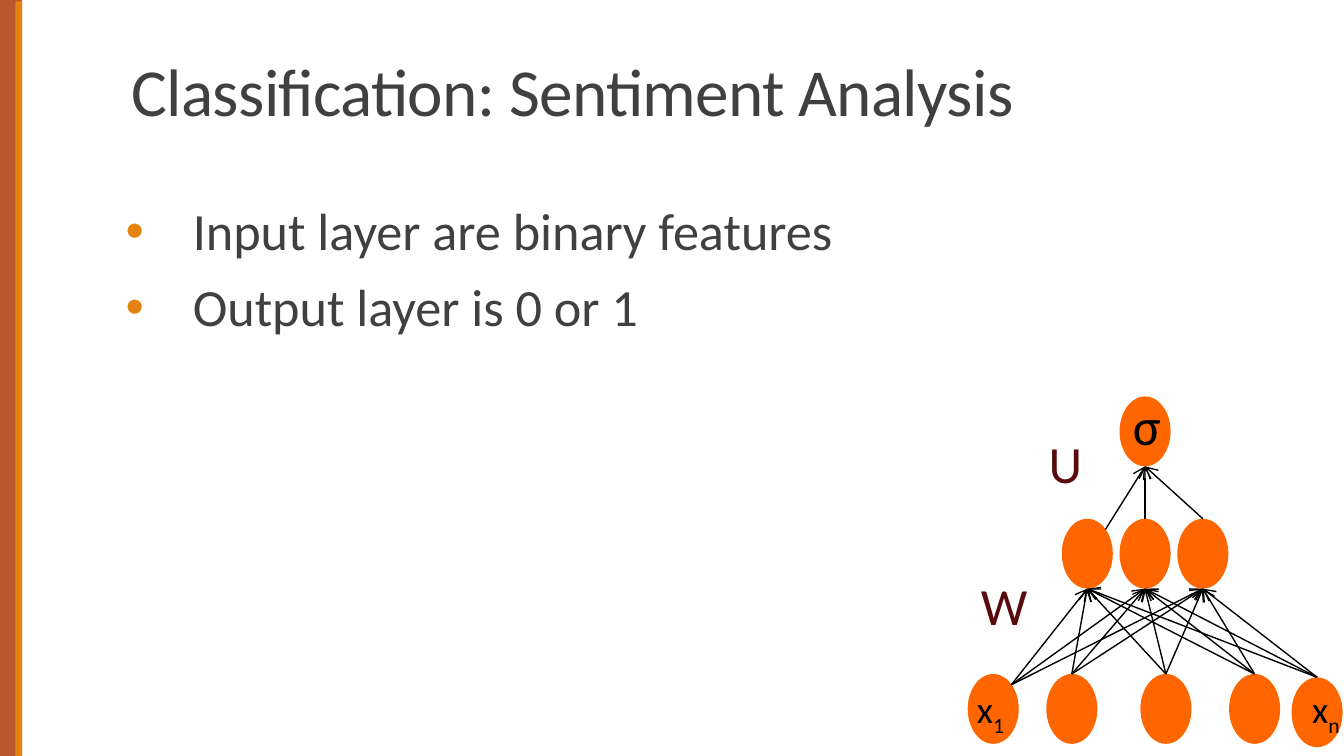
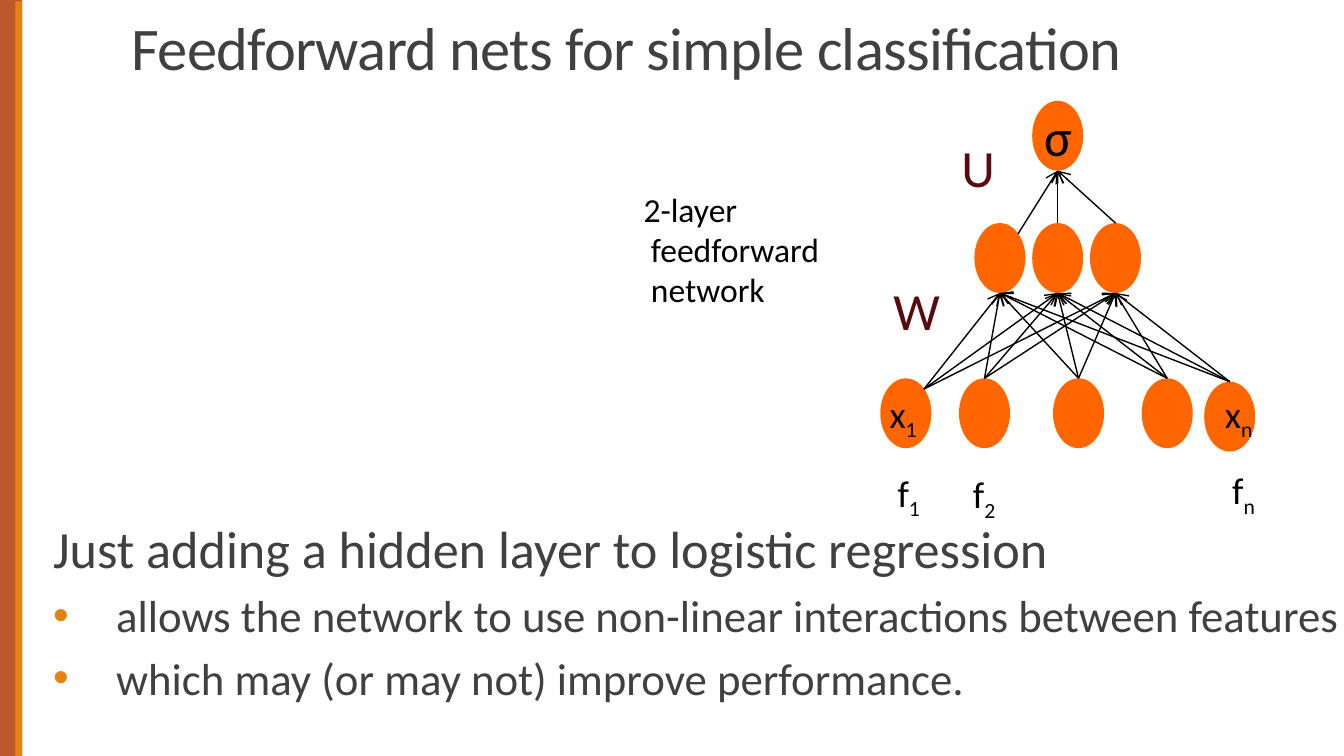
from dataclasses import dataclass

import lxml.etree
import pptx
import pptx.dml.color
import pptx.enum.shapes
import pptx.enum.text
import pptx.oxml.ns
import pptx.util
from pptx.shapes.group import GroupShape
from pptx.slide import Slide
from pptx.text.text import TextFrame

EMU_PER_PX = 4572  # 200 px to the inch
PAGE_WIDTH, PAGE_HEIGHT = 2000, 1125
FONT = "Calibri"
RUST, AMBER, ORANGE = "BD582C", "E48312", "FF6600"
GREY, MAROON, BLACK = "404040", "590A0E", "000000"

NEURON_WIDTH, NEURON_HEIGHT = 76, 104
TOP_CENTRE = (38, 0)
UPPER_RIGHT = (65, 16)


@dataclass(frozen=True)
class Box:
    left: int
    top: int
    width: int
    height: int


@dataclass(frozen=True)
class BodyLine:
    text: str
    size: int
    indent: int
    bullet: bool = True


@dataclass(frozen=True)
class Neuron:
    left: int
    top: int
    outlet: tuple[int, int] = TOP_CENTRE


@dataclass(frozen=True)
class Label:
    box: Box
    text: str
    size: int
    subscript: str = ""
    color: str = BLACK
    wrap: bool = True


# Network parts are placed relative to the network's own corner.
OUTPUT = Neuron(226, 0)
HIDDEN = [Neuron(140, 182, UPPER_RIGHT), Neuron(226, 182), Neuron(312, 182)]
INPUTS = [
    Neuron(0, 413, UPPER_RIGHT),
    Neuron(117, 413),
    Neuron(257, 413),
    Neuron(389, 413),
    Neuron(482, 418),
]
NETWORK_LABELS = [
    Label(Box(101, 42, 46, 114), "U", 28, color=MAROON),
    Label(Box(0, 254, 46, 114), "W", 28, color=MAROON),
    Label(Box(493, 422, 84, 88), "x", 20, "n"),
    Label(Box(-6, 422, 130, 88), "x", 20, "1"),
]
FEATURE_LABELS = [
    Label(Box(1316, 690, 76, 88), "f", 20, "1", wrap=False),
    Label(Box(1428, 692, 76, 88), "f", 20, "2", wrap=False),
    Label(Box(1814, 686, 78, 88), "f", 20, "n", wrap=False),
]


def px(length: int) -> pptx.util.Emu:
    return pptx.util.Emu(length * EMU_PER_PX)


def rgb(color: str) -> pptx.dml.color.RGBColor:
    return pptx.dml.color.RGBColor.from_string(color)


def add_element(parent, tag: str, **attributes: str):
    return lxml.etree.SubElement(parent, pptx.oxml.ns.qn(tag), **attributes)


def add_filled(shapes, kind, box: Box, color: str) -> None:
    shape = shapes.add_shape(kind, px(box.left), px(box.top), px(box.width), px(box.height))
    shape.shadow.inherit = False
    shape.fill.solid()
    shape.fill.fore_color.rgb = rgb(color)
    shape.line.fill.background()


def add_text_frame(shapes, box: Box, wrap: bool = True) -> TextFrame:
    textbox = shapes.add_textbox(px(box.left), px(box.top), px(box.width), px(box.height))
    frame = textbox.text_frame
    frame.word_wrap = wrap
    return frame


def add_span(para, text: str, size: float, color: str, **attributes: str) -> None:
    """Add one run; extra attributes go onto its run properties."""
    span = para.add_run()
    span.text = text
    span.font.name = FONT
    span.font.size = pptx.util.Pt(size)
    span.font.color.rgb = rgb(color)
    for name, value in attributes.items():
        span._r.get_or_add_rPr().set(name, value)


def add_bands(page: Slide) -> None:
    rectangle = pptx.enum.shapes.MSO_SHAPE.RECTANGLE
    add_filled(page.shapes, rectangle, Box(0, 0, 33, PAGE_HEIGHT), RUST)
    add_filled(page.shapes, rectangle, Box(23, 2, 10, PAGE_HEIGHT - 2), AMBER)


def add_title(page: Slide, box: Box, text: str, size: float) -> None:
    frame = add_text_frame(page.shapes, box)
    frame.vertical_anchor = pptx.enum.text.MSO_ANCHOR.BOTTOM
    para = frame.paragraphs[0]
    para.line_spacing = 0.85
    add_span(para, text, size, GREY, spc="-38")


def add_body(page: Slide, box: Box, lines: list[BodyLine], spacing: float) -> None:
    frame = add_text_frame(page.shapes, box)
    frame.margin_left = frame.margin_right = 0
    for index, line in enumerate(lines):
        para = frame.add_paragraph() if index else frame.paragraphs[0]
        properties = para._p.get_or_add_pPr()
        properties.set("marL", str(px(line.indent)))
        properties.set("indent", str(px(-line.indent)))
        if line.bullet:
            add_element(add_element(properties, "a:buClr"), "a:srgbClr", val=AMBER)
            add_element(properties, "a:buFont", typeface="Arial")
            add_element(properties, "a:buChar", char="•")
        para.line_spacing = spacing
        para.space_before = pptx.util.Pt(9 if index else 0)
        para.space_after = pptx.util.Pt(1.5)
        add_span(para, line.text, line.size, GREY)


def add_label(shapes, label: Label, left: int = 0, top: int = 0) -> None:
    """Add a label, shifted by the corner of whatever it belongs to."""
    place = label.box
    box = Box(left + place.left, top + place.top, place.width, place.height)
    frame = add_text_frame(shapes, box, label.wrap)
    frame.auto_size = pptx.enum.text.MSO_AUTO_SIZE.SHAPE_TO_FIT_TEXT
    para = frame.paragraphs[0]
    add_span(para, label.text, label.size, label.color)
    if label.subscript:
        add_span(para, label.subscript, label.size, label.color, baseline="-25000")


def add_edge(group: GroupShape, source: Neuron, target: Neuron, left: int, top: int) -> None:
    """Draw an arrow from a neuron's outlet to the bottom of its target."""
    across, down = source.outlet
    arrow = group.shapes.add_connector(
        pptx.enum.shapes.MSO_CONNECTOR.STRAIGHT,
        px(left + source.left + across),
        px(top + source.top + down),
        px(left + target.left + NEURON_WIDTH // 2),
        px(top + target.top + NEURON_HEIGHT),
    )
    arrow.line.color.rgb = rgb(BLACK)
    arrow.line.width = pptx.util.Pt(0.75)
    add_element(arrow.line._get_or_add_ln(), "a:tailEnd", type="arrow")
    add_element(arrow._element.spPr, "a:effectLst")


def add_network(page: Slide, left: int, top: int) -> None:
    group = page.shapes.add_group_shape()
    oval = pptx.enum.shapes.MSO_SHAPE.OVAL
    for neuron in [OUTPUT, *HIDDEN, *INPUTS]:
        box = Box(left + neuron.left, top + neuron.top, NEURON_WIDTH, NEURON_HEIGHT)
        add_filled(group.shapes, oval, box, ORANGE)
    for hidden in HIDDEN:
        add_edge(group, hidden, OUTPUT, left, top)
        for source in INPUTS:
            add_edge(group, source, hidden, left, top)
    for label in NETWORK_LABELS:
        add_label(group.shapes, label, left, top)


def add_caption(page: Slide) -> None:
    frame = add_text_frame(page.shapes, Box(938, 271, 306, 202), wrap=False)
    for index, text in enumerate(["2-layer", "feedforward", "network"]):
        para = frame.add_paragraph() if index else frame.paragraphs[0]
        if index:
            para._p.get_or_add_pPr().set("marL", str(px(11)))
        add_span(para, text, 18, BLACK)


def add_page(deck) -> Slide:
    page = deck.slides.add_slide(deck.slide_layouts[6])
    add_bands(page)
    return page


def add_sentiment_page(deck) -> None:
    page = add_page(deck)
    add_title(page, Box(176, 28, 1792, 176), "Classification: Sentiment Analysis", 36)
    lines = [
        BodyLine("Input layer are binary features", 28, 100),
        BodyLine("Output layer is 0 or 1", 28, 100),
    ]
    add_body(page, Box(187, 296, 1594, 766), lines, 0.9)
    add_network(page, 1440, 590)
    add_label(page.shapes, Label(Box(1666, 576, 82, 114), "σ", 28, wrap=False))


def add_feedforward_page(deck) -> None:
    page = add_page(deck)
    add_title(page, Box(176, -15, 1650, 148), "Feedforward nets for simple classification", 32.4)
    lines = [
        BodyLine("Just adding a hidden layer to logistic regression", 28, 2, bullet=False),
        BodyLine("allows the network to use non-linear interactions between features", 24, 94),
        BodyLine("which may (or may not) improve performance.", 24, 94),
    ]
    add_body(page, Box(79, 777, 1914, 312), lines, 0.8)
    add_network(page, 1310, 150)
    for label in FEATURE_LABELS:
        add_label(page.shapes, label)
    add_caption(page)
    add_label(page.shapes, Label(Box(1534, 146, 82, 114), "σ", 28))


def main() -> None:
    deck = pptx.Presentation()
    deck.slide_width, deck.slide_height = px(PAGE_WIDTH), px(PAGE_HEIGHT)
    add_sentiment_page(deck)
    add_feedforward_page(deck)
    deck.save("out.pptx")


if __name__ == "__main__":
    main()
